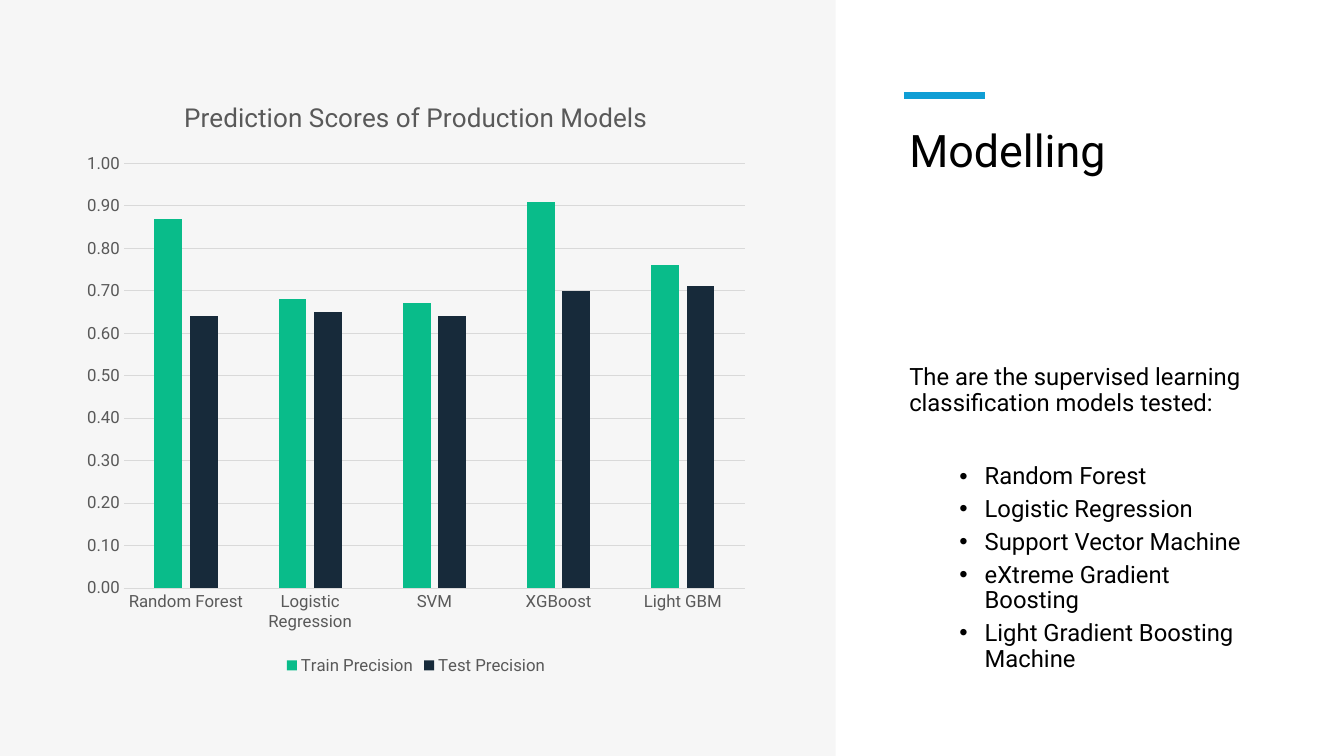
"""Build the Modelling slide: a precision chart beside the list of models."""
from pptx import Presentation
from pptx.chart.data import CategoryChartData as Data
from pptx.dml.color import RGBColor as Rgb
from pptx.enum.chart import XL_CHART_TYPE as Kind, XL_LEGEND_POSITION as Pos
from pptx.enum.chart import XL_TICK_MARK as Tick
from pptx.enum.shapes import MSO_CONNECTOR as Link, MSO_SHAPE as Form
from pptx.enum.text import MSO_ANCHOR as Anchor, MSO_AUTO_SIZE as Fit, PP_ALIGN as Align
from pptx.oxml.xmlchemy import OxmlElement as Node
from pptx.util import Cm, Pt

TITLE = "Modelling"
INTRO = "The are the supervised learning classification models tested:"
MODELS = [
    "Random Forest",
    "Logistic Regression",
    "Support Vector Machine",
    "eXtreme Gradient Boosting",
    "Light Gradient Boosting Machine",
]
HEAD = "Prediction Scores of Production Models"
CATS = ["Random Forest", "Logistic Regression", "SVM", "XGBoost", "Light GBM"]
SERIES = [
    ("Train Precision", "09BC8A", (0.87, 0.68, 0.67, 0.91, 0.76)),
    ("Test Precision", "172A3A", (0.64, 0.65, 0.64, 0.70, 0.71)),
]
FONT, BLACK, GREY, RULE = "Roboto", "000000", "595959", "D9D9D9"
LEFT, WIDTH = 22.66, 9.55


def paint(part, color):
    """Give a fill one solid colour."""
    part.solid()
    part.fore_color.rgb = Rgb.from_string(color)


def style(font, size, color):
    """Set the face, size and colour of a font."""
    font.name, font.size, font.bold = FONT, Pt(size), False
    font.color.rgb = Rgb.from_string(color)


def place(shape, top, height, anchor):
    """Move a text placeholder into the right column."""
    shape.left, shape.top = Cm(LEFT), Cm(top)
    shape.width, shape.height = Cm(WIDTH), Cm(height)
    frame = shape.text_frame
    frame.word_wrap, frame.auto_size = True, Fit.NONE
    frame.vertical_anchor = anchor
    return frame


def write(para, text, size, gap=0, bullet=False):
    """Fill a paragraph, with a bullet if asked."""
    para.text = text
    para.level = 1 if bullet else 0
    para.alignment, para.line_spacing = Align.LEFT, 0.9
    para.space_before = Pt(gap)
    props = para._p.get_or_add_pPr()
    props.set("marL", str(Cm(1.9) if bullet else 0))
    props.set("indent", str(Cm(-0.64) if bullet else 0))
    if bullet:
        face = Node("a:buFont")
        face.set("typeface", "Arial")
        mark = Node("a:buChar")
        mark.set("char", "•")
        props.extend([face, mark])
    else:
        props.append(Node("a:buNone"))
    style(para.runs[0].font, size, BLACK)


def panel(slide):
    """Draw the pale panel and the accent line."""
    back = slide.shapes.add_shape(Form.RECTANGLE, 0, 0, Cm(21.06), Cm(19.05))
    back.shadow.inherit = False
    paint(back.fill, "F2F2F2")
    alpha = Node("a:alpha")
    alpha.set("val", "65000")
    back.fill._xPr.solidFill[0].append(alpha)
    back.line.fill.background()
    bar = slide.shapes.add_connector(
        Link.STRAIGHT, Cm(22.78), Cm(2.41), Cm(24.82), Cm(2.41))
    bar.line.width = Pt(4.5)
    paint(bar.line.fill, "0F9ED5")
    bar._element.spPr.append(Node("a:effectLst"))


def plot(slide):
    """Add the column chart."""
    data = Data(number_format="0.00")
    data.categories = CATS
    for name, _, vals in SERIES:
        data.add_series(name, vals)
    chart = slide.shapes.add_chart(
        Kind.COLUMN_CLUSTERED, Cm(1.85), Cm(1.96), Cm(17.27), Cm(15.16), data).chart
    style(chart.font, 10, BLACK)
    chart.has_title = True
    frame = chart.chart_title.text_frame
    frame.text = HEAD
    style(frame.paragraphs[0].runs[0].font, 18.6, GREY)
    chart.chart_title.include_in_layout = False
    chart.has_legend = True
    chart.legend.position = Pos.BOTTOM
    chart.legend.include_in_layout = False
    style(chart.legend.font, 12, GREY)

    cats, vals = chart.category_axis, chart.value_axis
    for axis in (cats, vals):
        axis.major_tick_mark = axis.minor_tick_mark = Tick.NONE
        style(axis.tick_labels.font, 12, GREY)
    vals.minimum_scale, vals.maximum_scale, vals.major_unit = 0, 1, 0.1
    vals.tick_labels.number_format = "0.00"
    vals.tick_labels.number_format_is_linked = False
    vals.format.line.fill.background()
    for line in (cats.format.line, vals.major_gridlines.format.line):
        line.width = Pt(0.75)
        paint(line.fill, RULE)

    bars = chart.plots[0]
    bars.gap_width, bars.overlap, bars.vary_by_categories = 219, -27, False
    for bar, (_, color, _) in zip(bars.series, SERIES):
        paint(bar.format.fill, color)


def main():
    """Build and save the slide."""
    deck = Presentation()
    deck.slide_width, deck.slide_height = Cm(33.87), Cm(19.05)
    slide = deck.slides.add_slide(deck.slide_layouts[1])
    paint(slide.background.fill, "FFFFFF")
    head = place(slide.shapes.title, 3.12, 3.94, Anchor.TOP)
    write(head.paragraphs[0], TITLE, 32)
    panel(slide)
    body = place(slide.placeholders[1], 7.06, 10.01, Anchor.BOTTOM)
    write(body.paragraphs[0], INTRO, 17)
    for i, model in enumerate(MODELS):
        write(body.add_paragraph(), model, 17, 5 if i else 34, True)
    plot(slide)
    deck.save("out.pptx")


if __name__ == "__main__":
    main()
